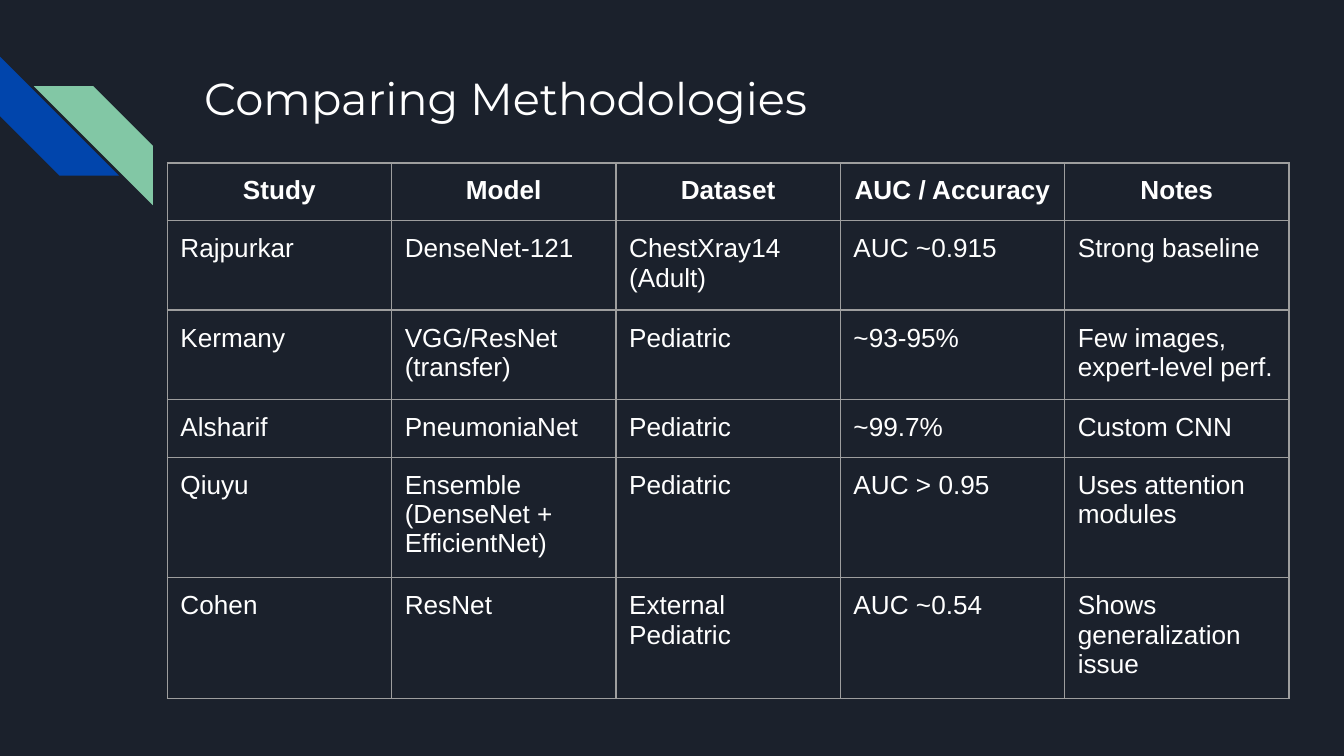
from lxml import etree
from pptx import Presentation
from pptx.dml.color import RGBColor
from pptx.enum.shapes import MSO_SHAPE
from pptx.enum.text import MSO_ANCHOR, PP_ALIGN
from pptx.oxml.ns import qn
from pptx.util import Cm, Pt

STRIPE = MSO_SHAPE.DIAGONAL_STRIPE
TOP = MSO_ANCHOR.TOP
LEFT, CENTER = PP_ALIGN.LEFT, PP_ALIGN.CENTER

NAVY = RGBColor(0x1B, 0x21, 0x2C)
BLUE = RGBColor(0x01, 0x45, 0xAC)
GREEN = RGBColor(0x82, 0xC7, 0xA5)
WHITE = RGBColor(0xFF, 0xFF, 0xFF)
GREY = RGBColor(0x9E, 0x9E, 0x9E)

INSET = Cm(0.25)
MARGINS = {"margin_left": INSET, "margin_right": INSET,
           "margin_top": INSET, "margin_bottom": INSET}
TITLE_FONT = {"name": "Montserrat", "size": Pt(24), "bold": False}
BODY_FONT = {"name": "Arial", "size": Pt(14), "bold": False}
HEADER_FONT = {**BODY_FONT, "bold": True}

STUDIES = [
    ["Study", "Model", "Dataset", "AUC / Accuracy", "Notes"],
    ["Rajpurkar", "DenseNet-121", "ChestXray14 (Adult)", "AUC ~0.915",
     "Strong baseline"],
    ["Kermany", "VGG/ResNet (transfer)", "Pediatric", "~93-95%",
     "Few images, expert-level perf."],
    ["Alsharif", "PneumoniaNet", "Pediatric", "~99.7%", "Custom CNN"],
    ["Qiuyu", "Ensemble (DenseNet + EfficientNet)", "Pediatric", "AUC > 0.95",
     "Uses attention modules"],
    ["Cohen", "ResNet", "External Pediatric", "AUC ~0.54",
     "Shows generalization issue"],
]


def apply_format(target, values):
    for attribute, value in values.items():
        setattr(target, attribute, value)


def write_text(frame, text, font, alignment=LEFT):
    paragraph = frame.paragraphs[0]
    paragraph.alignment = alignment
    run = paragraph.add_run()
    run.text = text
    apply_format(run.font, font)
    run.font.color.rgb = WHITE


def add_stripes(slide, left, top, size):
    """Two interlocking diagonal stripes; the green one is offset."""
    stripes = [(0, 0, 270, BLUE), (Cm(0.64), Cm(0.56), 90, GREEN)]
    for dx, dy, rotation, color in stripes:
        stripe = slide.shapes.add_shape(STRIPE, left + dx, top + dy, size, size)
        stripe.rotation = rotation
        stripe.shadow.inherit = False
        stripe.fill.solid()
        stripe.fill.fore_color.rgb = color
        stripe.line.fill.background()


def add_title(slide, left, top, width, height):
    frame = slide.shapes.add_textbox(left, top, width, height).text_frame
    apply_format(frame, {**MARGINS, "word_wrap": True, "vertical_anchor": TOP})
    write_text(frame, "Comparing Methodologies", TITLE_FONT)


def add_borders(cell):
    properties = cell._tc.get_or_add_tcPr()
    for position, side in enumerate(("lnL", "lnR", "lnT", "lnB")):
        line = etree.Element(qn(f"a:{side}"), w=str(Pt(0.75)))
        fill = etree.SubElement(line, qn("a:solidFill"))
        etree.SubElement(fill, qn("a:srgbClr"), val=str(GREY))
        properties.insert(position, line)


def add_study_table(slide, left, top, width, row_height):
    row_count, column_count = len(STUDIES), len(STUDIES[0])
    table = slide.shapes.add_table(row_count, column_count, left, top, width,
                                   row_height * row_count).table
    apply_format(table, {"first_row": False, "horz_banding": False})
    for row_index, study in enumerate(STUDIES):
        header = row_index == 0
        for column_index, text in enumerate(study):
            cell = table.cell(row_index, column_index)
            apply_format(cell, {**MARGINS, "vertical_anchor": TOP})
            cell.fill.background()
            add_borders(cell)
            write_text(cell.text_frame, text,
                       HEADER_FONT if header else BODY_FONT,
                       CENTER if header else LEFT)


def main():
    deck = Presentation()
    deck.slide_width, deck.slide_height = Cm(25.4), Cm(14.29)
    slide = deck.slides.add_slide(deck.slide_layouts[6])
    slide.background.fill.solid()
    slide.background.fill.fore_color.rgb = NAVY

    # Corner decoration, heading, comparison table
    add_stripes(slide, Cm(0), Cm(1.07), Cm(2.25))
    add_title(slide, Cm(3.61), Cm(1.09), Cm(19.56), Cm(2.54))
    add_study_table(slide, Cm(3.16), Cm(3.08), Cm(21.2), Cm(1.06))
    deck.save("out.pptx")


if __name__ == "__main__":
    main()
